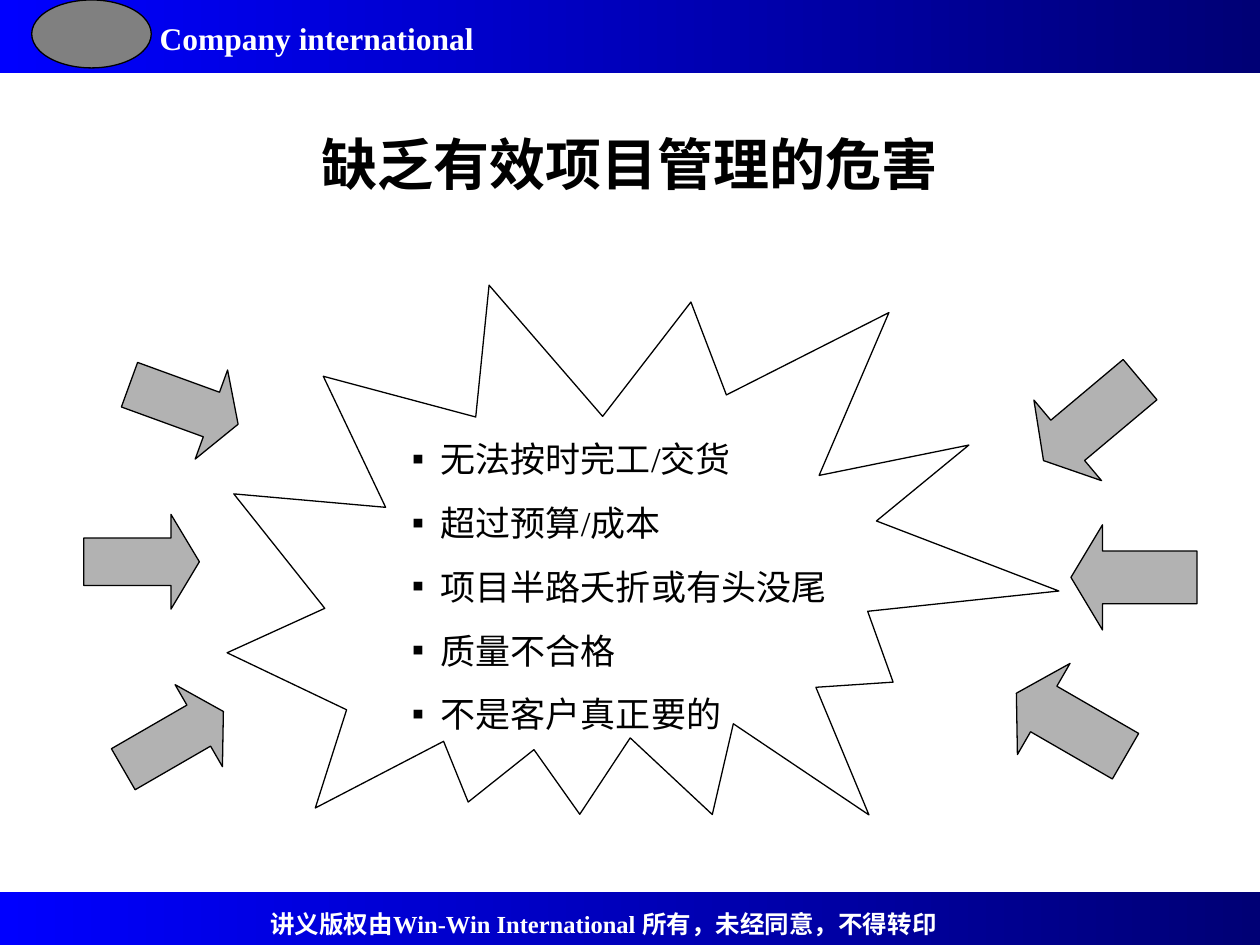
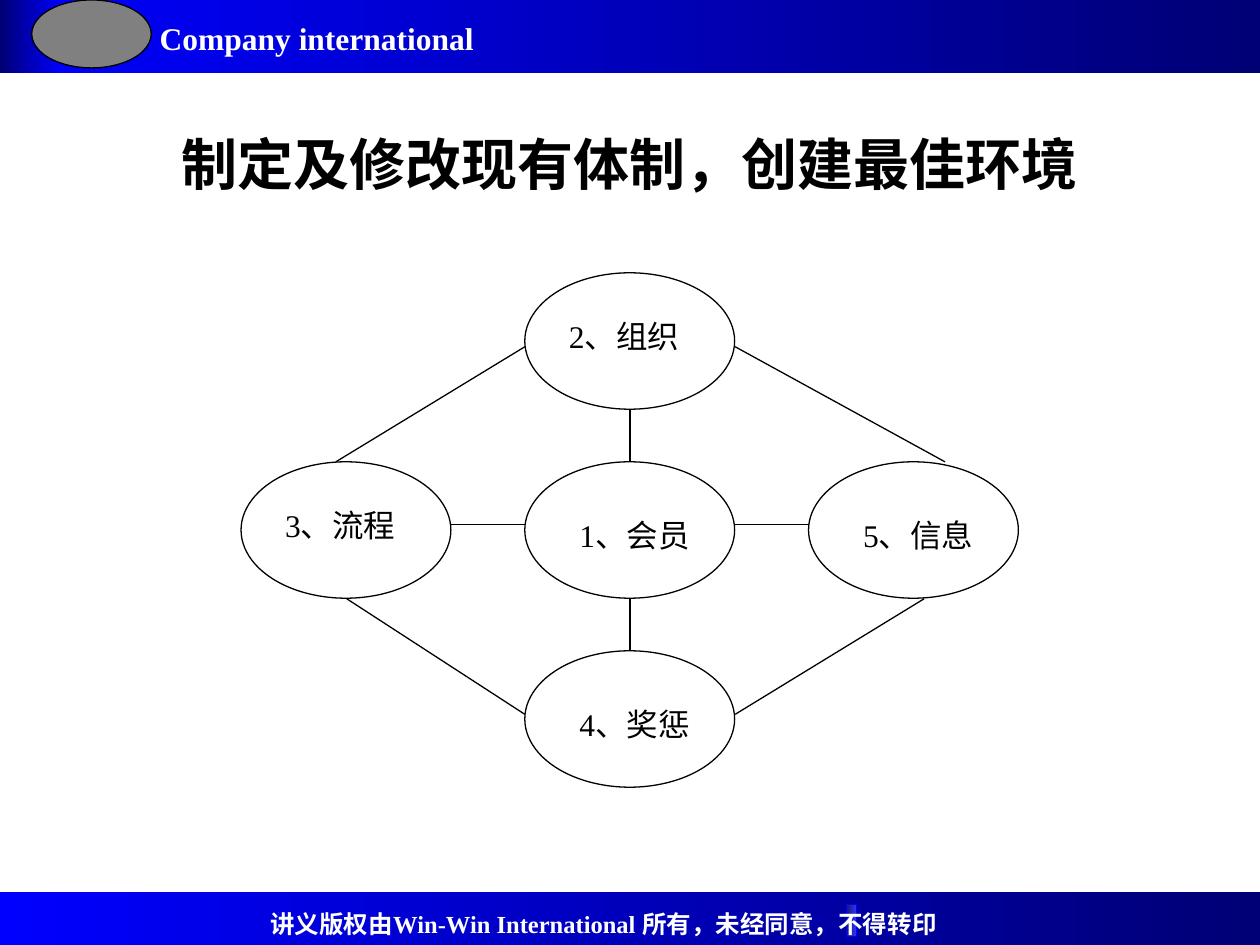
from dataclasses import dataclass

from lxml import etree
from pptx import Presentation
from pptx.dml.color import RGBColor
from pptx.enum.shapes import MSO_CONNECTOR, MSO_SHAPE
from pptx.enum.text import MSO_ANCHOR, MSO_AUTO_SIZE, PP_ALIGN
from pptx.oxml.ns import qn
from pptx.util import Cm, Pt

RECTANGLE = MSO_SHAPE.RECTANGLE
ELLIPSE = MSO_SHAPE.OVAL
BURST = MSO_SHAPE.EXPLOSION2
RIGHT_ARROW = MSO_SHAPE.RIGHT_ARROW
LEFT_ARROW = MSO_SHAPE.LEFT_ARROW
STRAIGHT = MSO_CONNECTOR.STRAIGHT
TITLE_AND_CONTENT, TITLE_ONLY = 1, 5


@dataclass(frozen=True)
class Theme:
    font: str = "Times New Roman"
    ink: str = "000000"
    paper: str = "FFFFFF"
    bright: str = "0000FF"
    dark: str = "000075"
    marker_bright: str = "3333FF"
    marker_dark: str = "171775"
    arrow: str = "B2B2B2"
    logo: str = "808080"
    title_size: float = 32
    list_size: float = 20
    list_gap: float = 12.5
    label_size: float = 18
    footer_size: float = 14
    line_width: float = 0.75


@dataclass(frozen=True)
class Box:
    left: float
    top: float
    width: float
    height: float

    def lengths(self) -> tuple:
        return Cm(self.left), Cm(self.top), Cm(self.width), Cm(self.height)


@dataclass(frozen=True)
class Band:
    box: Box
    left_color: str
    right_color: str
    line: str | None = None


@dataclass(frozen=True)
class BlockArrow:
    kind: int
    left: float
    top: float
    rotation: float = 0


@dataclass(frozen=True)
class Topic:
    text: str
    column: int
    row: int
    label_shift: tuple[float, float]


@dataclass(frozen=True)
class Link:
    start: tuple[float, float]
    end: tuple[float, float]


THEME = Theme()

HEADER_BAND = Band(Box(0, 0, 25.4, 1.47), THEME.bright, THEME.dark)
FOOTER_BAND = Band(Box(0, 17.98, 25.4, 1.07), THEME.bright, THEME.dark)
HEADER_SHADE = Band(Box(0, 0, 1.27, 1.47), THEME.dark, THEME.bright)
FOOTER_MARKER = Band(Box(17.07, 18.24, 0.2, 0.64), THEME.marker_dark,
                     THEME.marker_bright, THEME.bright)
HEADER_TEXT = "Company international"
FOOTER_TEXT = "讲义版权由Win-Win International 所有，未经同意，不得转印"
TITLE_BOX = Box(1.9, 1.69, 21.59, 3.18)
LOGO_BOX = Box(0.64, 0, 2.41, 1.37)

HARMS = ["无法按时完工/交货", "超过预算/成本", "项目半路夭折或有头没尾",
         "质量不合格", "不是客户真正要的"]
HARMS_BOX = Box(8.05, 8.69, 9.31, 6.25)
BURST_BOX = Box(4.66, 4.87, 16.3, 13.34)
ARROW_SIZES = {RIGHT_ARROW: (2.33, 1.91), LEFT_ARROW: (2.54, 2.12)}
ARROWS = [
    BlockArrow(RIGHT_ARROW, 2.54, 7.2, 20),
    BlockArrow(RIGHT_ARROW, 1.69, 10.37),
    BlockArrow(RIGHT_ARROW, 2.33, 13.97, 330),
    BlockArrow(LEFT_ARROW, 21.59, 10.58),
    BlockArrow(LEFT_ARROW, 20.74, 7.41, 320),
    BlockArrow(LEFT_ARROW, 20.32, 13.55, 30),
]

HUB = Box(10.58, 9.31, 4.23, 2.75)
COLUMN_STEP, ROW_STEP = 5.72, 3.81
HIGH_LABEL, LOW_LABEL = (0.64, 0.76), (0.85, 0.97)
TOPICS = [
    Topic("2、组织", 0, -1, HIGH_LABEL),
    Topic("1、会员", 0, 0, LOW_LABEL),
    Topic("3、流程", -1, 0, HIGH_LABEL),
    Topic("5、信息", 1, 0, LOW_LABEL),
    Topic("4、奖惩", 0, 1, LOW_LABEL),
]
LINKS = [
    Link((12.7, 8.26), (12.7, 9.31)),
    Link((12.7, 12.07), (12.7, 13.12)),
    Link((9.1, 10.58), (10.58, 10.58)),
    Link((14.82, 10.58), (16.3, 10.58)),
    Link((10.58, 6.99), (6.77, 9.31)),
    Link((14.82, 6.99), (19.05, 9.31)),
    Link((6.99, 12.07), (10.58, 14.4)),
    Link((18.63, 12.07), (14.82, 14.4)),
]


def rgb(color: str) -> RGBColor:
    return RGBColor.from_string(color)


def style_font(paragraph, size: float, color: str = THEME.ink, bold: bool = False) -> None:
    for run in paragraph.runs:
        run.font.name = THEME.font
        run.font.size = Pt(size)
        run.font.bold = bold
        run.font.color.rgb = rgb(color)


def place(shape, box: Box) -> None:
    shape.left, shape.top, shape.width, shape.height = box.lengths()


def set_outline(line, color: str | None) -> None:
    if color is None:
        line.fill.background()
    else:
        line.color.rgb = rgb(color)
        line.width = Pt(THEME.line_width)


def add_figure(slide, kind: int, box: Box, fill: str | None = None,
               line: str | None = THEME.ink):
    shape = slide.shapes.add_shape(kind, *box.lengths())
    shape.shadow.inherit = False
    if fill is None:
        shape.fill.background()
    else:
        shape.fill.solid()
        shape.fill.fore_color.rgb = rgb(fill)
    set_outline(shape.line, line)
    return shape


def add_band(slide, band: Band) -> None:
    shape = add_figure(slide, RECTANGLE, band.box, line=band.line)
    shape.fill.gradient()
    shape.fill.gradient_angle = 0
    colors = (band.left_color, band.right_color)
    for position, (stop, color) in enumerate(zip(shape.fill.gradient_stops, colors)):
        stop.position = position
        stop.color.rgb = rgb(color)


def add_text(slide, text: str, box: Box, size: float,
             color: str = THEME.ink, bold: bool = False) -> None:
    text_frame = slide.shapes.add_textbox(*box.lengths()).text_frame
    text_frame.word_wrap = True
    text_frame.text = text
    style_font(text_frame.paragraphs[0], size, color, bold)


def add_link(slide, link: Link) -> None:
    points = [Cm(value) for value in (*link.start, *link.end)]
    connector = slide.shapes.add_connector(STRAIGHT, *points)
    set_outline(connector.line, THEME.ink)
    etree.SubElement(connector._element.spPr, qn("a:effectLst"))


def set_bullet(paragraph) -> None:
    properties = paragraph._p.get_or_add_pPr()
    properties.set("marL", str(Cm(0.58)))
    properties.set("indent", str(-Cm(0.58)))
    etree.SubElement(properties, qn("a:buFont"), typeface=THEME.font)
    etree.SubElement(properties, qn("a:buChar"), char="▪")


def fill_list(placeholder, items: list[str], box: Box) -> None:
    place(placeholder, box)
    text_frame = placeholder.text_frame
    text_frame.text = "\n".join(items)
    text_frame.auto_size = MSO_AUTO_SIZE.NONE
    for index, paragraph in enumerate(text_frame.paragraphs):
        set_bullet(paragraph)
        paragraph.space_before = Pt(THEME.list_gap if index else 0)
        style_font(paragraph, THEME.list_size)


def add_base_slide(presentation, layout: int, title: str,
                   header_accents: tuple[Band, ...] = (),
                   footer_accents: tuple[Band, ...] = ()):
    slide = presentation.slides.add_slide(presentation.slide_layouts[layout])
    slide.background.fill.solid()
    slide.background.fill.fore_color.rgb = rgb(THEME.paper)
    for band in (HEADER_BAND, *header_accents, FOOTER_BAND, *footer_accents):
        add_band(slide, band)
    add_text(slide, HEADER_TEXT, Box(2.97, 0.25, 8, 1.02),
             THEME.label_size, THEME.paper, True)
    add_text(slide, FOOTER_TEXT, Box(5.2, 18.21, 15, 0.84),
             THEME.footer_size, THEME.paper, True)
    add_figure(slide, ELLIPSE, LOGO_BOX, THEME.logo)
    place(slide.shapes.title, TITLE_BOX)
    text_frame = slide.shapes.title.text_frame
    text_frame.text = title
    text_frame.vertical_anchor = MSO_ANCHOR.MIDDLE
    text_frame.auto_size = MSO_AUTO_SIZE.NONE
    paragraph = text_frame.paragraphs[0]
    paragraph.alignment = PP_ALIGN.CENTER
    style_font(paragraph, THEME.title_size, bold=True)
    return slide


def build_harms_slide(presentation) -> None:
    slide = add_base_slide(presentation, TITLE_AND_CONTENT, "缺乏有效项目管理的危害")
    add_figure(slide, BURST, BURST_BOX).rotation = 20
    fill_list(slide.placeholders[1], HARMS, HARMS_BOX)
    for arrow in ARROWS:
        box = Box(arrow.left, arrow.top, *ARROW_SIZES[arrow.kind])
        shape = add_figure(slide, arrow.kind, box, THEME.arrow)
        shape.adjustments[1] = 0.3
        shape.rotation = arrow.rotation


def build_system_slide(presentation) -> None:
    slide = add_base_slide(presentation, TITLE_ONLY, "制定及修改现有体制，创建最佳环境",
                           (HEADER_SHADE,), (FOOTER_MARKER,))
    for link in LINKS:
        add_link(slide, link)
    for topic in TOPICS:
        left = HUB.left + topic.column * COLUMN_STEP
        top = HUB.top + topic.row * ROW_STEP
        add_figure(slide, ELLIPSE, Box(left, top, HUB.width, HUB.height))
        shift_x, shift_y = topic.label_shift
        add_text(slide, topic.text, Box(left + shift_x, top + shift_y, 2.75, 1.78),
                 THEME.label_size)


def main() -> None:
    presentation = Presentation()
    presentation.slide_width = Cm(25.4)
    presentation.slide_height = Cm(19.05)
    build_harms_slide(presentation)
    build_system_slide(presentation)
    presentation.save("out.pptx")


if __name__ == "__main__":
    main()
